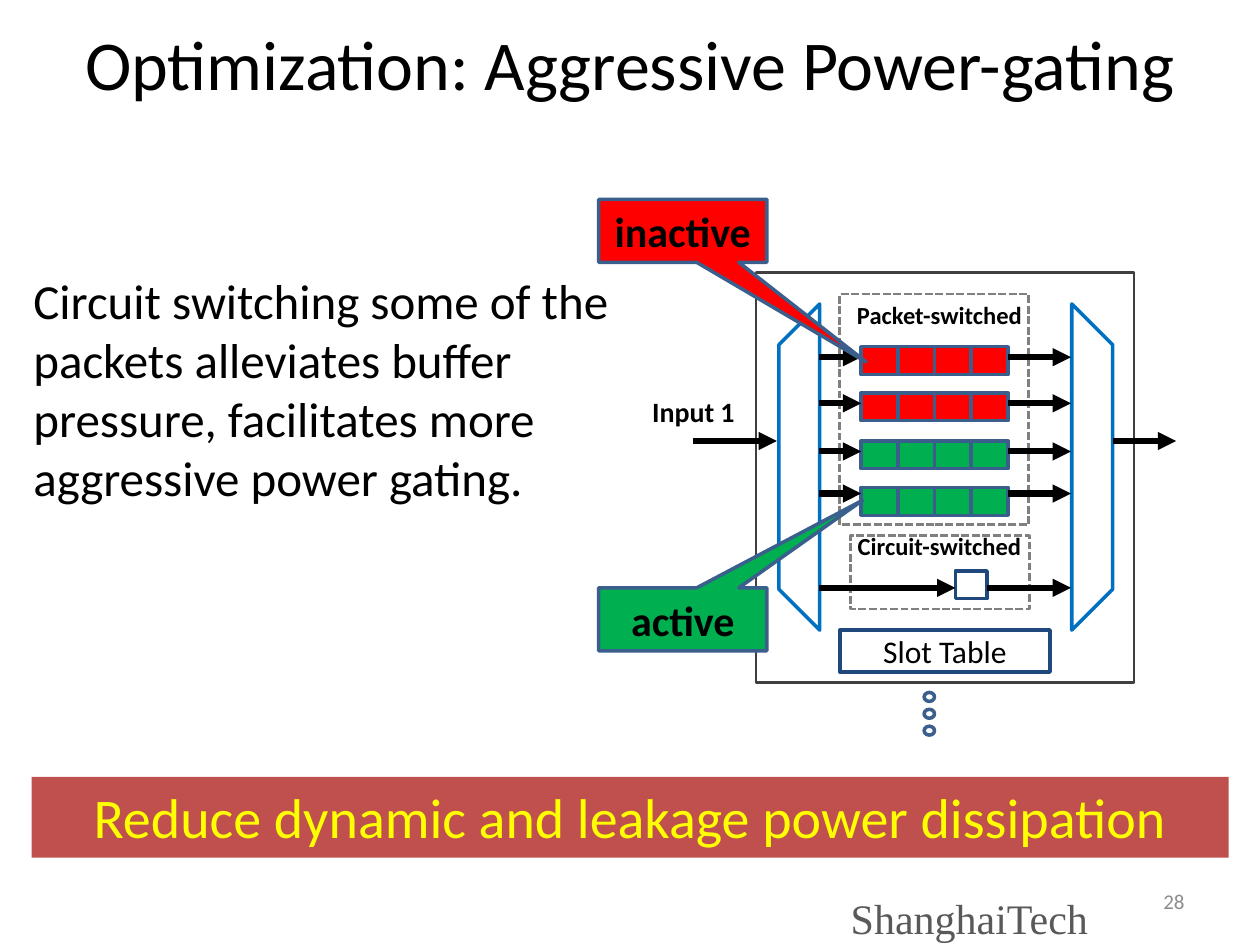
from lxml.etree import SubElement
from pptx import Presentation
from pptx.dml.color import RGBColor
from pptx.enum.dml import MSO_LINE
from pptx.enum.shapes import MSO_CONNECTOR, MSO_SHAPE
from pptx.enum.text import MSO_ANCHOR, MSO_AUTO_SIZE, PP_ALIGN
from pptx.oxml.ns import qn
from pptx.util import Cm, Pt

BLACK, GREY, BLUE, NAVY = "000000", "808080", "0070C0", "1F497D"
RED, GREEN, OUTLINE = "FF0000", "00B050", "3A5F8C"


def color(value):
    return RGBColor.from_string(value)


class SlideBuilder:
    font = "Calibri"

    def __init__(self, slide):
        self.slide = slide

    def add_text(self, shape, text, size, tint=BLACK, bold=False, font=None,
                 align=PP_ALIGN.CENTER, anchor=MSO_ANCHOR.MIDDLE):
        frame = shape.text_frame
        frame.word_wrap = True
        frame.auto_size = MSO_AUTO_SIZE.NONE
        frame.vertical_anchor = anchor
        paragraph = frame.paragraphs[0]
        paragraph.alignment = align
        paragraph.space_before = Pt(0)
        run = paragraph.add_run()
        run.text = text
        run.font.name = font or self.font
        run.font.size = Pt(size)
        run.font.bold = bold
        run.font.color.rgb = color(tint)
        return paragraph

    def placeholder(self, index, box, text, size, **style):
        shape = self.slide.placeholders[index]
        shape.left, shape.top, shape.width, shape.height = map(Cm, box)
        return self.add_text(shape, text, size, **style)

    def label(self, box, text, size, margin=None, **style):
        shape = self.slide.shapes.add_textbox(*map(Cm, box))
        if margin is not None:
            frame = shape.text_frame
            frame.margin_left = frame.margin_right = Cm(margin)
            frame.margin_top = frame.margin_bottom = Cm(margin)
        self.add_text(shape, text, size, **style)

    def shape(self, box, kind=MSO_SHAPE.RECTANGLE, fill=None, line=None,
              width=2, dash=None, rotation=0, adjust=()):
        shape = self.slide.shapes.add_shape(kind, *map(Cm, box))
        shape.shadow.inherit = False
        shape.rotation = rotation
        for index, value in enumerate(adjust):
            shape.adjustments[index] = value
        if fill:
            shape.fill.solid()
            shape.fill.fore_color.rgb = color(fill)
        else:
            shape.fill.background()
        if line:
            shape.line.color.rgb = color(line)
            shape.line.width = Pt(width)
            if dash:
                shape.line.dash_style = dash
        else:
            shape.line.fill.background()
        return shape

    def arrow(self, start, end, y):
        connector = self.slide.shapes.add_connector(
            MSO_CONNECTOR.STRAIGHT, Cm(start), Cm(y), Cm(end), Cm(y))
        connector.line.color.rgb = color(BLACK)
        connector.line.width = Pt(3.5)
        properties = connector._element.spPr
        SubElement(properties.find(qn("a:ln")), qn("a:tailEnd"), type="triangle")
        SubElement(properties, qn("a:effectLst"))

    def buffer(self, top, fill):
        for cell in range(4):
            self.shape((17.36 + 0.74 * cell, top, 0.74, 0.56), fill=fill, line=OUTLINE)

    def callout(self, top, text, fill, tip):
        shape = self.shape((12.07, top, 3.39, 1.27), MSO_SHAPE.RECTANGULAR_CALLOUT,
                           fill=fill, line=OUTLINE, adjust=tip)
        self.add_text(shape, text, 24, bold=True)


def main():
    presentation = Presentation()
    presentation.slide_width, presentation.slide_height = Cm(25.4), Cm(19.05)
    slide = presentation.slides.add_slide(presentation.slide_layouts[1])
    builder = SlideBuilder(slide)

    # Title and statement
    builder.placeholder(0, (0, 0.42, 25.4, 1.7),
                        "Optimization: Aggressive Power-gating", 40)
    statement = builder.placeholder(
        1, (0.42, 5.33, 12.28, 5.05),
        "Circuit switching some of the packets alleviates buffer pressure, "
        "facilitates more aggressive power gating.",
        28, align=PP_ALIGN.LEFT, anchor=MSO_ANCHOR.TOP)
    properties = statement._p.get_or_add_pPr()
    properties.set("marL", "0")
    properties.set("indent", "0")
    SubElement(properties, qn("a:buNone"))

    # Router frame, switching areas and slot table
    builder.shape((15.24, 5.5, 7.62, 8.26), line="404040", width=1.5)
    for box in ((16.93, 5.93, 3.81, 4.65), (17.15, 10.8, 3.6, 1.48)):
        builder.shape(box, line=GREY, width=1.5, dash=MSO_LINE.SQUARE_DOT)
    slot_table = builder.shape((16.93, 12.7, 4.24, 0.85), line=NAVY)
    builder.add_text(slot_table, "Slot Table", 18)

    # Demultiplexer and multiplexer
    for left, rotation in ((14.2, 315), (19.28, 135)):
        builder.shape((left, 7.09, 4.65, 4.65), MSO_SHAPE.DIAGONAL_STRIPE,
                      fill="FFFFFF", line=BLUE, rotation=rotation, adjust=(0.75,))

    # Packet-switched buffers with their arrows
    rows = ((6.99, 7.2, RED), (7.92, 8.13, RED),
            (8.89, 9.1, GREEN), (9.83, 9.95, GREEN))
    for top, arrow_y, fill in rows:
        builder.buffer(top, fill)
        builder.arrow(16.51, 17.36, arrow_y)
        builder.arrow(20.32, 21.59, arrow_y)

    # Circuit-switched path
    builder.shape((19.26, 11.51, 0.64, 0.56), line=NAVY)
    builder.arrow(16.51, 19.26, 11.85)
    builder.arrow(19.9, 21.59, 11.85)

    # Router input and output
    builder.arrow(13.97, 15.66, 8.89)
    builder.arrow(22.44, 23.71, 8.89)

    # Labels
    for box, text, size in (((12.5, 7.82, 2.96, 0.94), "Input 1", 16),
                            ((16.93, 5.93, 4.02, 0.86), "Packet-switched", 14),
                            ((16.93, 10.58, 4.02, 0.86), "Circuit-switched", 14)):
        builder.label(box, text, size, bold=True, anchor=MSO_ANCHOR.TOP)

    # Dots for further inputs
    for dot in range(3):
        builder.shape((18.63, 13.96 + 0.34 * dot, 0.21, 0.18),
                      MSO_SHAPE.OVAL, line=OUTLINE)

    # Buffer state callouts
    builder.callout(11.85, "active", GREEN, (1.07, -1.89))
    builder.callout(4.02, "inactive", RED, (1.09, 2.08))

    # Conclusion bar
    bar = builder.shape((0.64, 15.66, 24.13, 1.63), fill="C0504D")
    builder.add_text(bar, "Reduce dynamic and leakage power dissipation", 32,
                     tint="FFFF00", anchor=MSO_ANCHOR.TOP)

    # Footer
    builder.label((18.2, 17.65, 5.93, 1.02), "28", 12, tint="8C8C8C",
                  align=PP_ALIGN.RIGHT)
    builder.label((17.15, 17.99, 5.72, 1.06), "ShanghaiTech", 24, margin=0,
                  tint="595959", font="Times New Roman",
                  align=PP_ALIGN.LEFT, anchor=MSO_ANCHOR.TOP)

    presentation.save("out.pptx")


if __name__ == "__main__":
    main()
